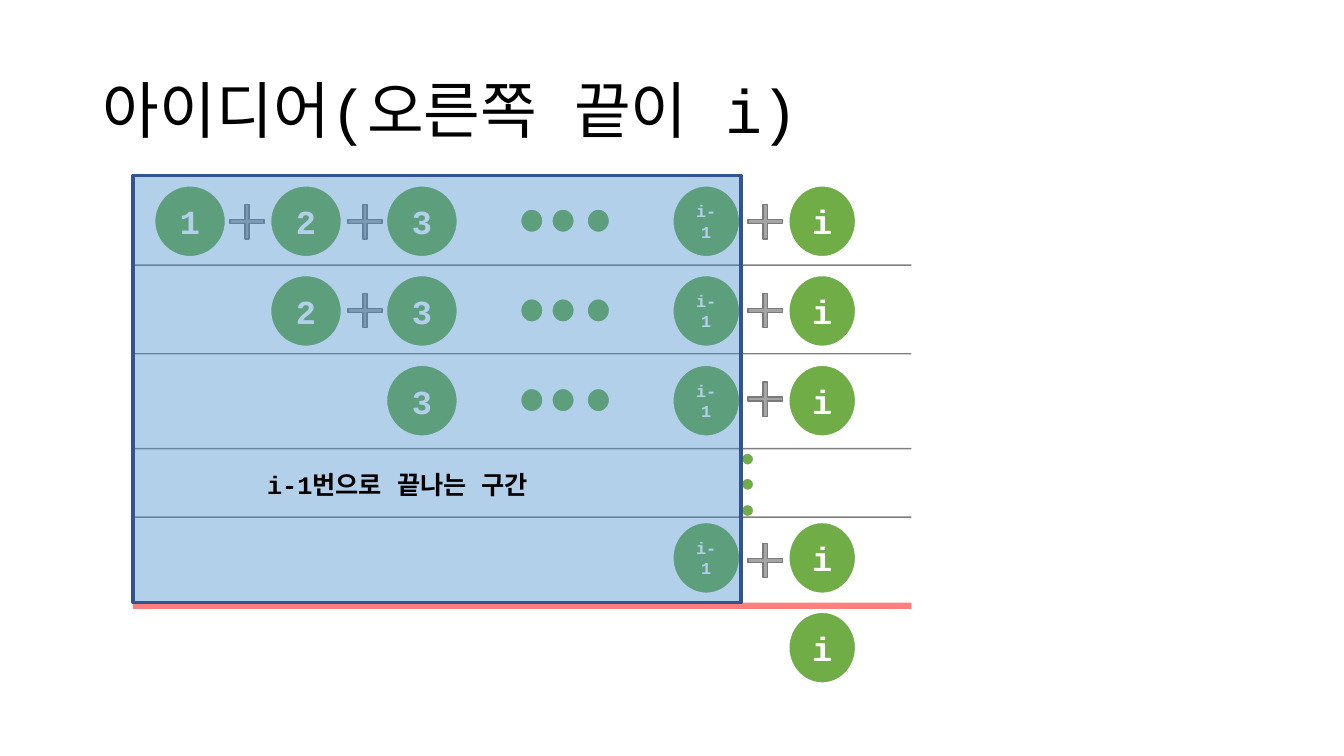
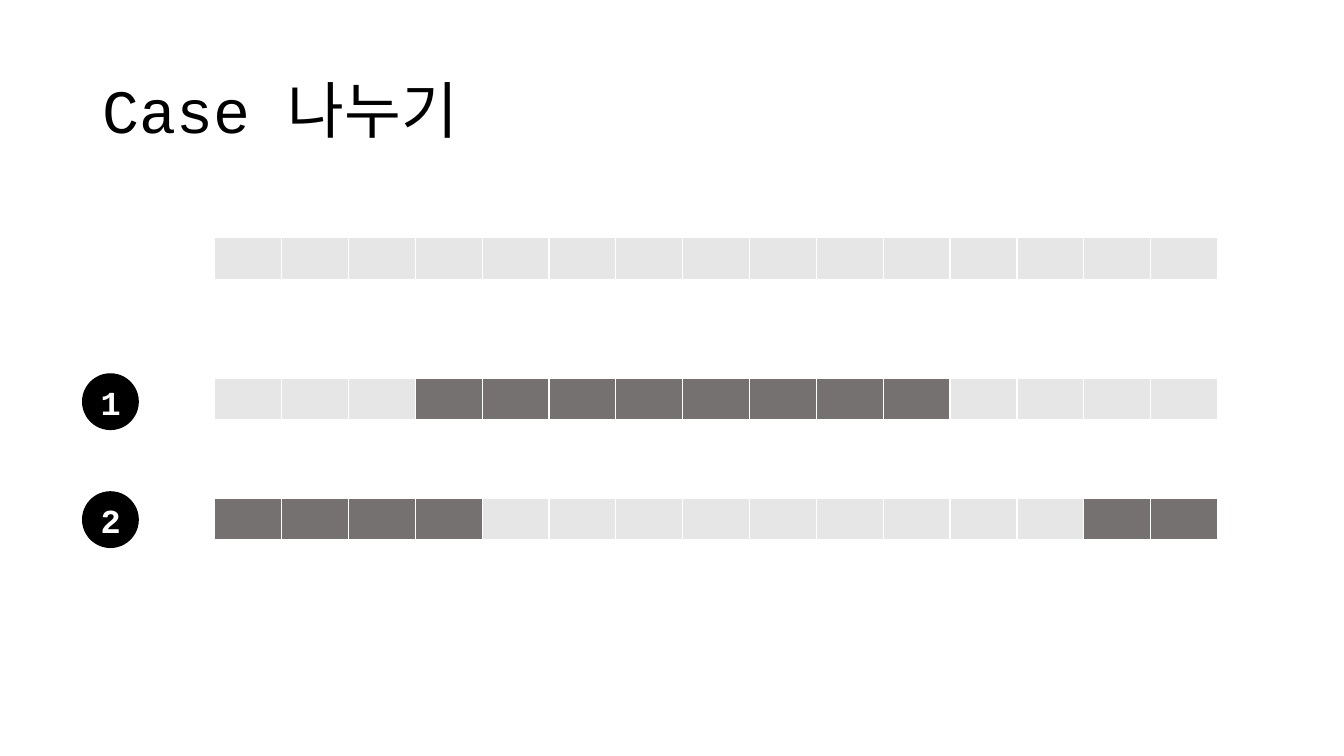
from pptx import Presentation
from pptx.dml.color import RGBColor
from pptx.enum.shapes import MSO_CONNECTOR as Connector, MSO_SHAPE as Shape
from pptx.enum.text import MSO_ANCHOR as Anchor, MSO_AUTO_SIZE as AutoSize, PP_ALIGN as Align
from pptx.oxml.ns import qn
from pptx.util import Inches, Pt
from lxml.etree import SubElement
from dataclasses import dataclass


@dataclass(frozen=True)
class Theme:
    """Colours, font and type sizes of the deck."""
    font: str = "Courier New"
    title_size: int = 44
    label_size: int = 24
    caption_size: int = 18
    small_size: int = 12
    black: str = "000000"
    white: str = "FFFFFF"
    green: str = "70AD47"
    plus: str = "A5A5A5"
    plus_edge: str = "7A7A7A"
    red: str = "FF0000"
    overlay: str = "418BCF"
    overlay_edge: str = "325491"
    cell: str = "E7E6E6"
    chosen_cell: str = "767171"


THEME = Theme()

# Content
SUM_TITLE = "아이디어(오른쪽 끝이 i)"
SUM_CAPTION = "i-1번으로 끝나는 구간"
SUM_ROWS = [  # top of the terms, top of the plus signs, terms
    (1.84, 2.03, ["1", "2", "3", "dots", "i-1", "i"]),
    (2.73, 2.91, ["2", "3", "dots", "i-1", "i"]),
    (3.62, 3.79, ["3", "dots", "i-1", "i"]),
    (5.18, 5.39, ["i-1", "i"]),
    (6.07, None, ["i"]),
]
CASE_TITLE = "Case 나누기"
CELL_COUNT = 15
CASES = [  # bar top, number, number top, chosen cells
    (2.36, None, None, set()),
    (3.75, "1", 3.71, set(range(3, 11))),
    (4.94, "2", 4.88, {0, 1, 2, 3, 13, 14}),
]

# Layout of the sum
TERM_LEFT = {"1": 1.53, "2": 2.68, "3": 3.83, "i-1": 6.67, "i": 7.82}
TERM_WIDTH = {"i-1": 0.67, "i": 0.67}
TERM_HEIGHT = 0.71
PLUS_LEFT = {"1": 2.28, "2": 3.45, "i-1": 7.42}
PLUS_SIZE = 0.34
DOT_LEFTS = [5.16, 5.47, 5.82]
SMALL_DOT_TOPS = [4.49, 4.74, 5]
RULE_LEFT, RULE_RIGHT = 1.32, 9.04
RULES = [(top, THEME.black, 1) for top in (2.63, 3.51, 4.45, 5.13)] + [(6.01, THEME.red, 4.5)]


def box(*lengths):
    """Turn numbers into lengths in inches."""
    return [Inches(length) for length in lengths]


def set_values(target, values):
    """Set every attribute named in a dict."""
    for name, value in values.items():
        setattr(target, name, value)


def set_alpha(fill_parent, percent):
    """Make the solid fill below an element partly transparent."""
    colour = fill_parent.find(qn("a:solidFill"))[0]
    SubElement(colour, qn("a:alpha"), val=str(percent * 1000))


def write(frame, text, size, colour, bold=True, align=Align.LEFT, spacing=None):
    """Put one formatted paragraph in a text frame."""
    paragraph = frame.paragraphs[0]
    set_values(paragraph, {"alignment": align, "line_spacing": spacing})
    run = paragraph.add_run()
    run.text = text
    set_values(run.font, {"name": THEME.font, "size": Pt(size), "bold": bold})
    run.font.color.rgb = RGBColor.from_string(colour)
    SubElement(run.font._element, qn("a:ea"), typeface=THEME.font)


def add_figure(slide, kind, place, fill, edge, weight):
    """Add a filled and outlined preset shape."""
    shape = slide.shapes.add_shape(kind, *box(*place))
    shape.shadow.inherit = False
    shape.fill.solid()
    shape.fill.fore_color.rgb = RGBColor.from_string(fill)
    shape.line.color.rgb = RGBColor.from_string(edge)
    shape.line.width = Pt(weight)
    return shape


def add_disc(slide, place, text="", size=THEME.label_size,
             fill=THEME.green, edge=THEME.white, weight=1.5):
    """Add an ellipse, with a centred label if there is one."""
    shape = add_figure(slide, Shape.OVAL, place, fill, edge, weight)
    if text:
        shape.text_frame.vertical_anchor = Anchor.MIDDLE
        write(shape.text_frame, text, size, THEME.white, align=Align.CENTER)


def add_rule(slide, top, colour, weight):
    """Add a half transparent horizontal line."""
    line = slide.shapes.add_connector(
        Connector.STRAIGHT, *box(RULE_LEFT, top, RULE_RIGHT, top))
    line.line.color.rgb = RGBColor.from_string(colour)
    line.line.width = Pt(weight)
    properties = line._element.spPr
    set_alpha(properties.find(qn("a:ln")), 50)
    SubElement(properties, qn("a:effectLst"))


def add_titled_slide(presentation, title):
    """Add a slide with the shared title style."""
    slide = presentation.slides.add_slide(presentation.slide_layouts[5])
    shape = slide.shapes.title
    names = ("left", "top", "width", "height")
    set_values(shape, dict(zip(names, box(0.92, 0.4, 11.5, 1.45))))
    set_values(shape.text_frame, {"vertical_anchor": Anchor.MIDDLE, "word_wrap": True,
                                  "auto_size": AutoSize.NONE})
    write(shape.text_frame, title, THEME.title_size, THEME.black, bold=False, spacing=0.9)
    return slide


def add_sum_row(slide, top, plus_top, terms):
    """Add one row of terms joined by plus signs."""
    for term in terms:
        if term == "dots":
            for left in DOT_LEFTS:
                add_disc(slide, (left, top + 0.23, 0.23, 0.24))
            continue
        size = THEME.small_size if term == "i-1" else THEME.label_size
        width = TERM_WIDTH.get(term, TERM_HEIGHT)
        add_disc(slide, (TERM_LEFT[term], top, width, TERM_HEIGHT), term, size)
        if term in PLUS_LEFT:
            plus = add_figure(slide, Shape.CROSS,
                              (PLUS_LEFT[term], plus_top, PLUS_SIZE, PLUS_SIZE),
                              THEME.plus, THEME.plus_edge, 1)
            plus.adjustments[0] = 0.44


def build_sum_slide(presentation):
    """Build the slide with the sums that end at i."""
    slide = add_titled_slide(presentation, SUM_TITLE)
    for row in SUM_ROWS:
        add_sum_row(slide, *row)
    for top in SMALL_DOT_TOPS:
        add_disc(slide, (7.35, top, 0.13, 0.13))
    for rule in RULES:
        add_rule(slide, *rule)
    overlay = add_figure(slide, Shape.RECTANGLE, (RULE_LEFT, 1.74, 6.03, 4.24),
                         THEME.overlay, THEME.overlay_edge, 2.25)
    set_alpha(overlay._element.spPr, 40)
    caption = slide.shapes.add_textbox(*box(2.55, 4.61, 2.91, 0.4)).text_frame
    set_values(caption, {"word_wrap": False, "auto_size": AutoSize.SHAPE_TO_FIT_TEXT})
    write(caption, SUM_CAPTION, THEME.caption_size, THEME.black)


def style_cell(cell, fill):
    """Give a cell white borders and a solid fill."""
    properties = cell._tc.get_or_add_tcPr()
    for side in ("L", "R", "T", "B"):
        border = SubElement(properties, qn(f"a:ln{side}"), w=str(Pt(1)))
        solid = SubElement(border, qn("a:solidFill"))
        SubElement(solid, qn("a:srgbClr"), val=THEME.white)
    cell.fill.solid()
    cell.fill.fore_color.rgb = RGBColor.from_string(fill)


def add_bar(slide, top, chosen):
    """Add a one-row table with the chosen cells dark."""
    place = box(2.13, top, 9.95, 0.41)
    table = slide.shapes.add_table(1, CELL_COUNT, *place).table
    set_values(table, {"first_row": False, "horz_banding": False})
    for index in range(CELL_COUNT):
        style_cell(table.cell(0, index),
                   THEME.chosen_cell if index in chosen else THEME.cell)


def build_case_slide(presentation):
    """Build the slide with the two cases."""
    slide = add_titled_slide(presentation, CASE_TITLE)
    for top, number, number_top, chosen in CASES:
        add_bar(slide, top, chosen)
        if number:
            add_disc(slide, (0.82, number_top, 0.55, 0.55), number,
                     fill=THEME.black, edge=THEME.black, weight=1)


def main():
    """Build and save the deck."""
    presentation = Presentation()
    set_values(presentation, {"slide_width": Inches(13.33), "slide_height": Inches(7.5)})
    build_sum_slide(presentation)
    build_case_slide(presentation)
    presentation.save("out.pptx")


main()
